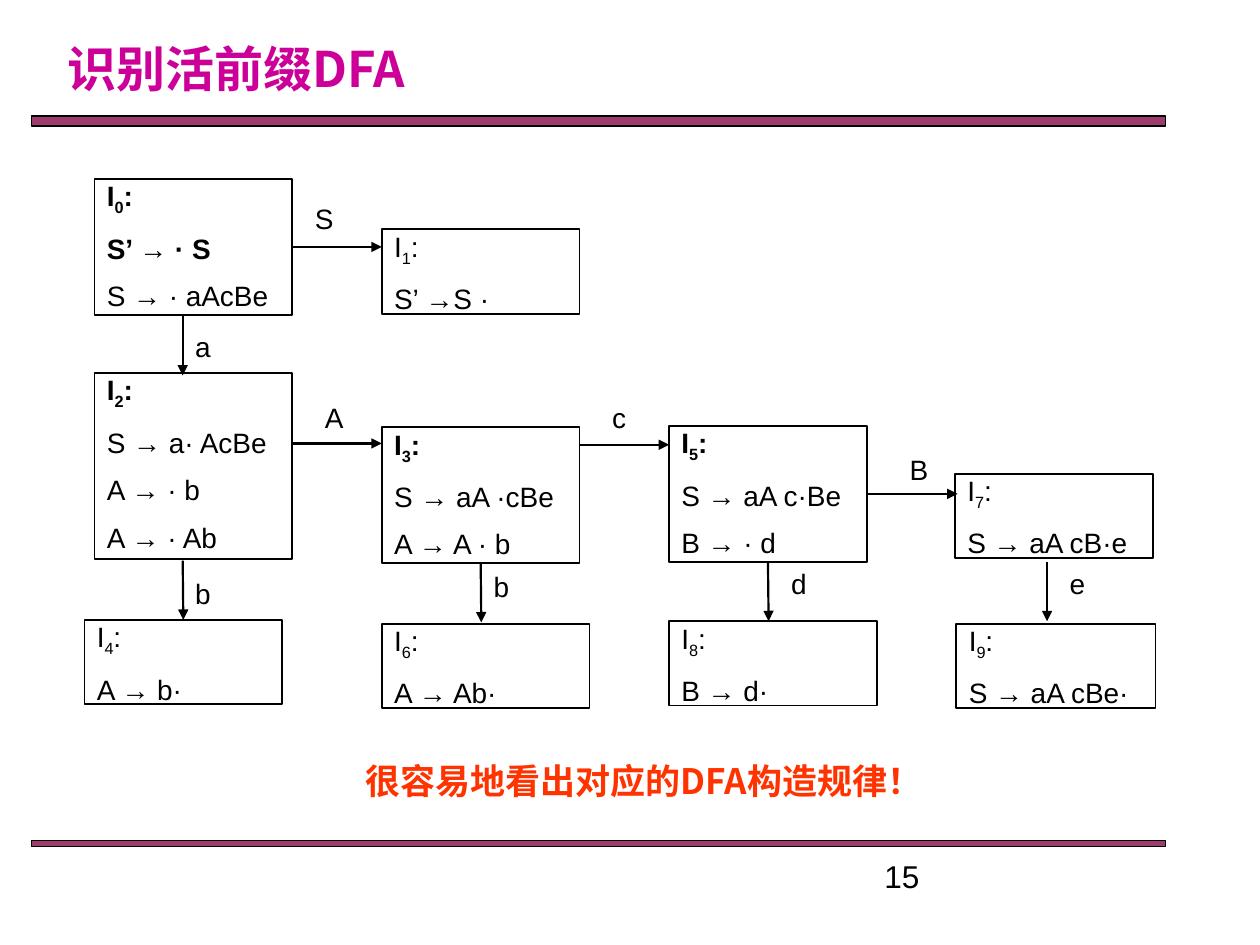
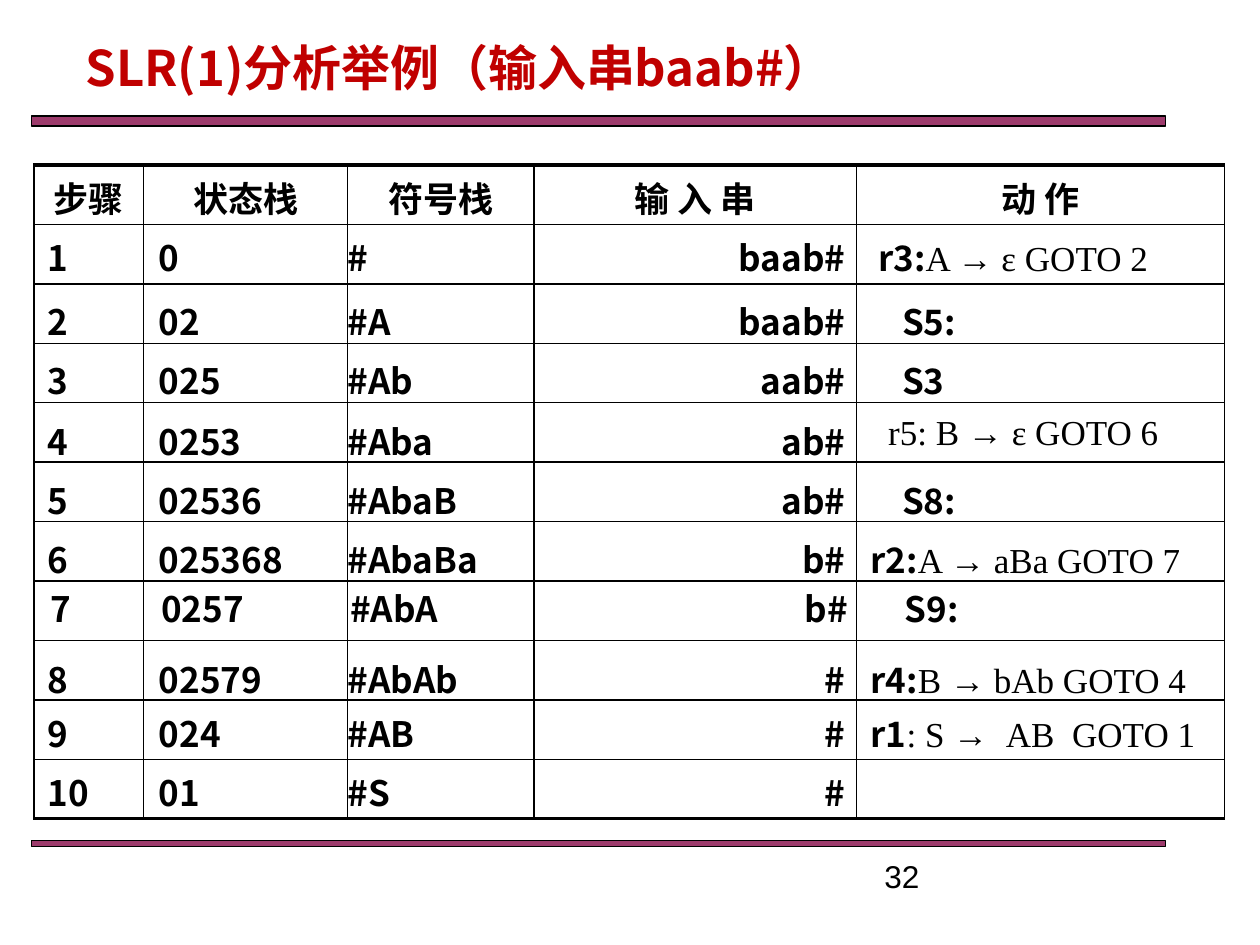
from pptx import Presentation
from pptx.dml.color import RGBColor
from pptx.enum.shapes import MSO_CONNECTOR, MSO_SHAPE
from pptx.enum.text import MSO_ANCHOR, PP_ALIGN
from pptx.oxml.ns import qn
from pptx.util import Inches, Pt
from lxml.etree import SubElement

BLACK = RGBColor(0x00, 0x00, 0x00)
PLUM = RGBColor(0x99, 0x33, 0x66)
MAGENTA = RGBColor(0xCC, 0x00, 0x99)
ORANGE = RGBColor(0xFF, 0x33, 0x00)
RED = RGBColor(0xC0, 0x00, 0x00)
CJK, SANS, SERIF = "Noto Sans CJK SC", "Arial", "Times New Roman"
NO_STYLE = "{2D5ABB26-0587-4C30-8999-92F81FD0307C}"

BANDS = [(0.92, 0.08), (6.67, 0.05)]
BOX_W = 1.57

# number: (left, top, width, height, productions, bold lines)
STATES = {
    0: (0.75, 1.42, BOX_W, 1.08, ["S’ → · S", "S → · aAcBe"], 2),
    1: (3.03, 1.82, BOX_W, 0.67, ["S’ →S ·"], 0),
    2: (0.75, 2.96, BOX_W, 1.48, ["S → a· AcBe", "A → · b", "A → · Ab"], 1),
    3: (3.03, 3.39, BOX_W, 1.08, ["S → aA ·cBe", "A → A · b"], 1),
    4: (0.67, 4.92, BOX_W, 0.67, ["A → b·"], 0),
    5: (5.31, 3.38, BOX_W, 1.08, ["S → aA c·Be", "B → · d"], 1),
    6: (3.03, 4.95, 1.65, 0.67, ["A → Ab·"], 0),
    7: (7.58, 3.76, BOX_W, 0.67, ["S → aA cB·e"], 0),
    8: (5.31, 4.93, 1.65, 0.67, ["B → d·"], 0),
    9: (7.59, 4.95, 1.58, 0.67, ["S → aA cBe·"], 0),
}

# symbol, label place, arrow start, arrow end, joined (state, side) at start and end
MOVES = [
    ("S", (2.4, 1.55), (2.32, 1.96), (3.03, 1.96), (0, 3), None),
    ("a", (1.45, 2.57), (1.45, 2.5), (1.45, 2.98), None, None),
    ("A", (2.48, 3.13), (2.32, 3.52), (3.03, 3.52), None, None),
    ("b", (1.45, 4.53), (1.45, 4.45), (1.45, 4.92), None, (4, 0)),
    ("c", (4.76, 3.13), (4.6, 3.53), (5.31, 3.53), None, None),
    ("b", (3.82, 4.47), (3.82, 4.47), (3.82, 4.94), (3, 2), None),
    ("B", (7.12, 3.54), (6.88, 3.92), (7.6, 3.92), (5, 3), None),
    ("d", (6.18, 4.45), (6.1, 4.46), (6.1, 4.93), (5, 2), None),
    ("e", (8.39, 4.45), (8.31, 4.46), (8.31, 4.93), None, None),
]

HEADERS = ["步骤", "状态栈", "符号栈", "输 入 串", "动 作"]
GRID_COLS = [0.87, 1.62, 1.48, 2.56, 2.92]
GRID_HEIGHT = 5.19
STEP_COLS = [0.88, 1.5, 1.51, 2.64, 2.9]
STEP_HEIGHT = 0.43

# top, state stack, symbol stack, input, action indent, bold action, plain parts
STEPS = [
    (1.78, "0", "#", "baab#", 0.06, "r3:", ["A → ε GOTO 2"]),
    (2.29, "02", "#A", "baab#", 0.25, "S5:", []),
    (2.76, "025", "#Ab", "aab#", 0.25, "S3", []),
    (3.24, "0253", "#Aba", "ab#", 0.14, "", ["r5: B → ε GOTO 6"]),
    (3.71, "02536", "#AbaB", "ab#", 0.25, "S8:", []),
    (4.18, "025368", "#AbaBa", "b#", 0, "r2:", ["A → aBa GOTO 7"]),
    (4.57, "0257", "#AbA", "b#", 0.25, "S9:", []),
    (5.13, "02579", "#AbAb", "#", 0, "r4:", ["B → bAb GOTO 4"]),
    (5.56, "024", "#AB", "#", 0, "r1", [": S →", "AB", "GOTO 1"]),
    (6.03, "01", "#S", "#", 0, "", []),
]


def inches(*values):
    return [Inches(v) for v in values]


def add_run(p, text, size=16, font=SANS, color=BLACK, bold=False,
            baseline=None, spacing=None):
    r = p.add_run()
    r.text = text
    r.font.size, r.font.name, r.font.bold = Pt(size), font, bold
    r.font.color.rgb = color
    props = r.font._element
    SubElement(props, qn("a:ea")).set("typeface", font)
    if baseline:
        props.set("baseline", str(baseline * 1000))
    if spacing:
        props.set("spc", str(spacing * 100))


def add_text(slide, at, text, align=PP_ALIGN.LEFT, anchor=MSO_ANCHOR.TOP, **style):
    tf = slide.shapes.add_textbox(*inches(*at)).text_frame
    tf.word_wrap = True
    tf.vertical_anchor = anchor
    p = tf.paragraphs[0]
    p.alignment = align
    add_run(p, text, **style)


def add_heading(slide, at, text, color, size=28, align=PP_ALIGN.CENTER):
    add_text(slide, at, text, align, MSO_ANCHOR.MIDDLE,
             size=size, font=CJK, color=color, bold=True)


def add_rect(slide, at, line_width):
    sp = slide.shapes.add_shape(MSO_SHAPE.RECTANGLE, *inches(*at))
    sp.shadow.inherit = False
    sp.line.color.rgb = BLACK
    sp.line.width = Pt(line_width)
    return sp


def new_slide(prs, number):
    slide = prs.slides.add_slide(prs.slide_layouts[6])
    for top, height in BANDS:
        sp = add_rect(slide, (0.25, top, 9, height), 0.75)
        sp.fill.solid()
        sp.fill.fore_color.rgb = PLUM
        rgb = sp._element.spPr.find(qn("a:solidFill"))[0]
        SubElement(rgb, qn("a:alpha")).set("val", "96000")
    add_text(slide, (6.92, 6.75, 2.33, 0.27), str(number), size=18)
    return slide


def add_state(slide, number):
    left, top, width, height, productions, bold_lines = STATES[number]
    sp = add_rect(slide, (left, top, width, height), 1)
    sp.fill.background()
    tf = sp.text_frame
    tf.word_wrap = True
    tf.vertical_anchor = MSO_ANCHOR.TOP
    tf.margin_top = tf.margin_bottom = 0
    name = [("I", None), (str(number), -25), (":", None)]
    lines = [name] + [[(text, None)] for text in productions]
    for i, line in enumerate(lines):
        p = tf.add_paragraph() if i else tf.paragraphs[0]
        p.alignment = PP_ALIGN.LEFT
        p.space_before = Pt(8 if i else 0)
        for text, baseline in line:
            add_run(p, text, bold=i < bold_lines, baseline=baseline)
    return sp


def add_move(slide, boxes, symbol, label_at, start, end, source, target):
    arrow = slide.shapes.add_connector(MSO_CONNECTOR.STRAIGHT, *inches(*start, *end))
    if source:
        arrow.begin_connect(boxes[source[0]], source[1])
    if target:
        arrow.end_connect(boxes[target[0]], target[1])
    arrow.line.color.rgb = BLACK
    arrow.line.width = Pt(1.25)
    SubElement(arrow.line._get_or_add_ln(), qn("a:tailEnd")).set("type", "triangle")
    SubElement(arrow._element.spPr, qn("a:effectLst"))
    add_text(slide, (*label_at, 0.31, 0.37), symbol)


def set_borders(cell, **widths):
    props = cell._tc.get_or_add_tcPr()
    for side in "LRTB":
        ln = SubElement(props, qn("a:ln" + side), w=str(Pt(widths.get(side, 1))))
        SubElement(SubElement(ln, qn("a:solidFill")), qn("a:srgbClr"), val=str(BLACK))


def add_table(slide, left, top, cols, rows, height):
    frame = slide.shapes.add_table(
        rows, len(cols), *inches(left, top, sum(cols), height))
    table = frame.table
    table.first_row = table.horz_banding = False
    table._tbl.tblPr.find(qn("a:tableStyleId")).text = NO_STYLE
    for column, width in zip(table.columns, cols):
        column.width = Inches(width)
    return table


def add_grid(slide):
    rows = len(STEPS) + 1
    table = add_table(slide, 0.27, 1.31, GRID_COLS, rows, GRID_HEIGHT)
    for i in range(rows):
        for j, header in enumerate(HEADERS):
            cell = table.cell(i, j)
            set_borders(cell, T=1 if i else 2.25, B=2.25 if i == rows - 1 else 1)
            cell.fill.background()
            cell.margin_bottom = Inches(0.01)
            if i == 0:
                p = cell.text_frame.paragraphs[0]
                p.alignment = PP_ALIGN.CENTER
                add_run(p, header, size=20, font=CJK, bold=True)


def add_step(slide, number, top, states, symbols, rest, indent, action, plain):
    left = 0.3 if number == 7 else 0.28
    rows = 2 if number == 3 else 1
    table = add_table(slide, left, top, STEP_COLS, rows, rows * STEP_HEIGHT)
    for cell in table.iter_cells():
        cell.fill.background()
    for j, text in enumerate([str(number), states, symbols, rest, action]):
        cell = table.cell(0, j)
        p = cell.text_frame.paragraphs[0]
        p.alignment = PP_ALIGN.RIGHT if j == 3 else PP_ALIGN.LEFT
        if text:
            add_run(p, text, size=20, font=CJK, bold=True)
    cell.margin_left = Inches(0.1 + indent)
    for i, part in enumerate(plain):
        if i:
            add_run(p, " ", size=20, font=SERIF, spacing=5)
        add_run(p, part, size=20, font=SERIF)


def build_dfa(prs):
    slide = new_slide(prs, 15)
    add_heading(slide, (-0.46, 0.25, 4.67, 0.58), "识别活前缀DFA", MAGENTA)
    boxes = {number: add_state(slide, number) for number in STATES}
    for move in MOVES:
        add_move(slide, boxes, *move)
    add_heading(slide, (2.71, 5.98, 4.8, 0.43), "很容易地看出对应的DFA构造规律！",
                ORANGE, size=20)


def build_parse(prs):
    slide = new_slide(prs, 32)
    add_heading(slide, (0.58, 0.25, 6.58, 0.57), "SLR(1)分析举例（输入串baab#）",
                RED, align=PP_ALIGN.LEFT)
    add_grid(slide)
    for number, step in enumerate(STEPS, 1):
        add_step(slide, number, *step)


def main():
    prs = Presentation()
    prs.slide_width, prs.slide_height = inches(10, 7.5)
    build_dfa(prs)
    build_parse(prs)
    prs.save("out.pptx")


if __name__ == "__main__":
    main()
